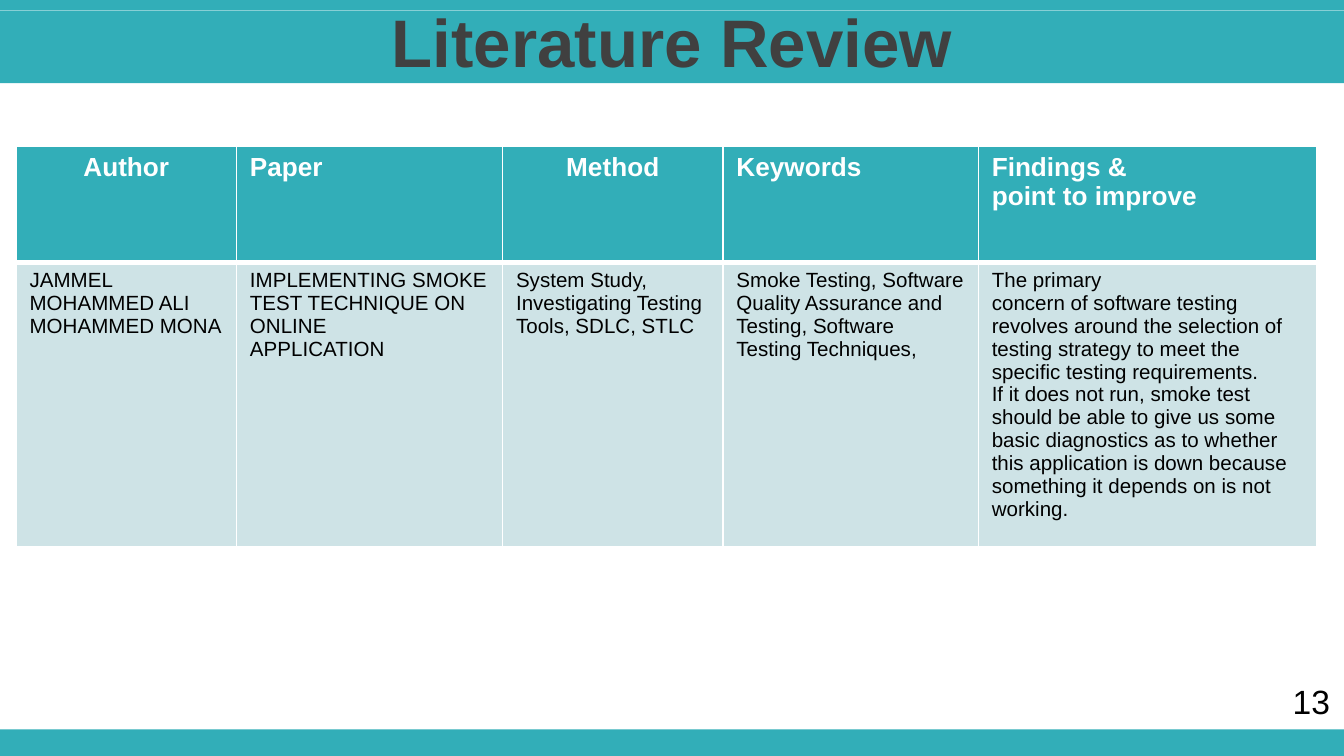
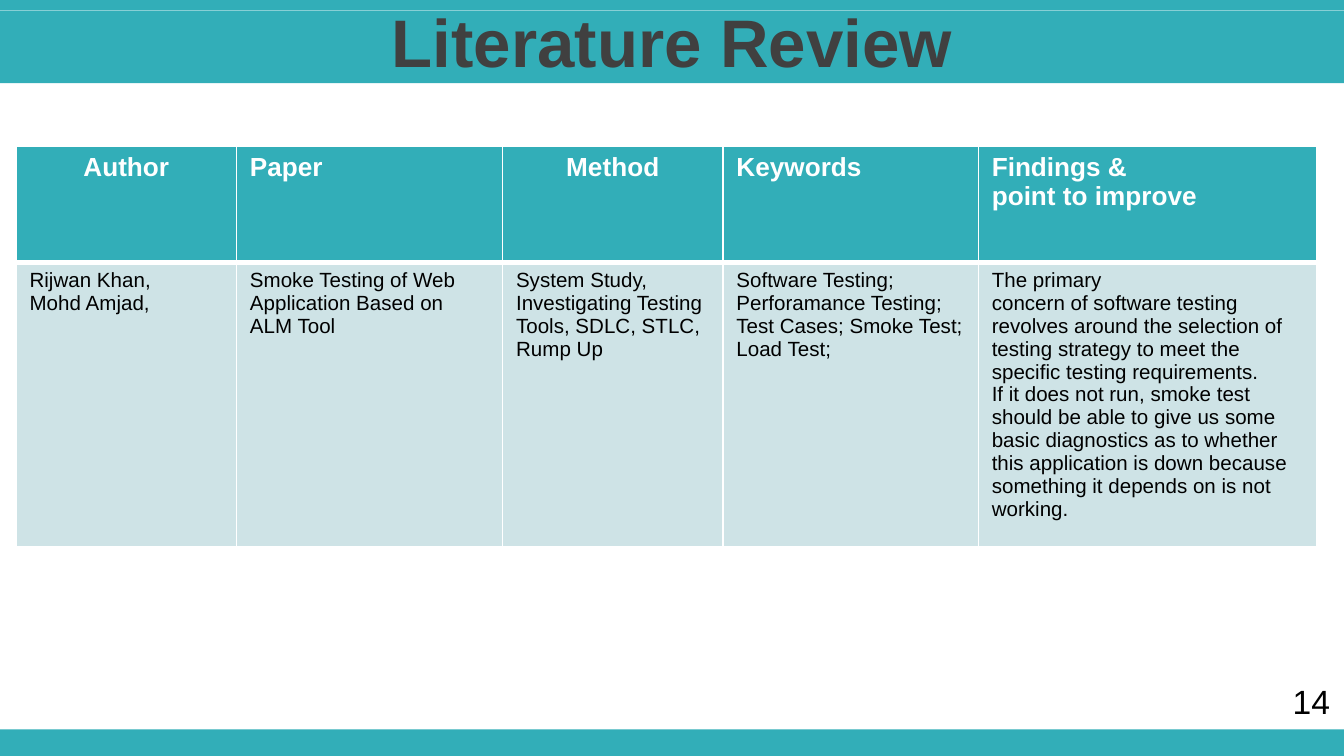
from dataclasses import dataclass
from typing import NamedTuple

from lxml.etree import SubElement
from pptx import Presentation
from pptx.dml.color import RGBColor as Rgb
from pptx.enum.shapes import MSO_SHAPE as Shape
from pptx.enum.text import MSO_ANCHOR as Anchor, MSO_AUTO_SIZE as AutoSize, PP_ALIGN as Align
from pptx.oxml.ns import qn
from pptx.util import Inches, Pt


@dataclass(frozen=True)
class Theme:
    """Colours, font and type sizes of the deck."""
    teal: str = "32AEB8"
    pale: str = "CEE3E6"
    white: str = "FFFFFF"
    dark: str = "404040"
    black: str = "000000"
    font: str = "Arial"
    title: int = 36
    header: int = 14
    body: int = 11
    number: int = 18


class Area(NamedTuple):
    """A rectangle given as shares of the slide's size."""
    left: float
    top: float
    width: float
    height: float


class Column(NamedTuple):
    """A table column: heading, share of the slide width and heading alignment."""
    heading: str
    width: float
    align: Align = Align.LEFT


class Review(NamedTuple):
    """One reviewed paper and the number of its slide."""
    number: int
    author: str
    paper: str
    method: str
    keywords: str


THEME = Theme()
WIDTH, HEIGHT = Inches(10), Inches(5.625)
FOOTER_BAND = Area(0, 0.965, 1, 0.035)
TOP_BAND = Area(0, 0, 1, 0.014)
TITLE_BAND = Area(0, 0.014, 1, 0.096)
TITLE_AREA = Area(0, -0.002, 1, 0.112)
NUMBER_AREA = Area(0.952, 0.892, 0.048, 0.072)
TABLE_LEFT, TABLE_TOP = 0.012, 0.193
HEADER_HEIGHT, BODY_HEIGHT = 0.154, 0.308
HEADER_EDGES = {"lnL": 1, "lnR": 1, "lnT": 1, "lnB": 3}
BODY_EDGES = {"lnL": 1, "lnR": 1, "lnB": 1}

COLUMNS = (
    Column("Author", 0.164, Align.CENTER),
    Column("Paper", 0.198),
    Column("Method", 0.164, Align.CENTER),
    Column("Keywords", 0.19),
    Column("Findings &\npoint to improve", 0.252),
)

FINDINGS = (
    "The primary\n"
    "concern of software testing revolves around the selection of testing strategy to meet the\n"
    "specific testing requirements.\n"
    "If it does not run, smoke test should be able to give us some basic diagnostics "
    "as to whether this application is down because\n"
    "something it depends on is not\n"
    "working."
)

REVIEWS = (
    Review(
        13,
        "JAMMEL MOHAMMED ALI\nMOHAMMED MONA",
        "IMPLEMENTING SMOKE TEST TECHNIQUE ON ONLINE\nAPPLICATION",
        "System Study, Investigating Testing Tools, SDLC, STLC",
        "Smoke Testing, Software Quality Assurance and Testing, Software Testing Techniques,",
    ),
    Review(
        14,
        "Rijwan Khan,\nMohd Amjad,",
        "Smoke Testing of Web\nApplication Based on\nALM Tool",
        "System Study, Investigating Testing Tools, SDLC, STLC, Rump Up",
        "Software Testing; Perforamance Testing; Test Cases; Smoke Test; Load Test;",
    ),
)


def place(area: Area) -> tuple:
    """Turn shares of the slide into lengths."""
    return (int(area.left * WIDTH), int(area.top * HEIGHT),
            int(area.width * WIDTH), int(area.height * HEIGHT))


def write(frame, text: str, *, size: int, color: str = THEME.black, bold: bool = False,
          align: Align = Align.LEFT, before: float = 0) -> None:
    """Fill a text frame with one paragraph per line of text."""
    frame.text = text
    for paragraph in frame.paragraphs:
        paragraph.alignment = align
        paragraph.space_before = Pt(before)
        font = paragraph.runs[0].font
        font.name, font.size, font.bold = THEME.font, Pt(size), bold
        font.color.rgb = Rgb.from_string(color)


def add_band(slide, area: Area) -> None:
    """Draw a plain teal band."""
    band = slide.shapes.add_shape(Shape.RECTANGLE, *place(area))
    band.shadow.inherit = False
    band.fill.solid()
    band.fill.fore_color.rgb = Rgb.from_string(THEME.teal)
    band.line.fill.background()


def add_title(slide, text: str) -> None:
    """Write the slide title over its band."""
    frame = slide.shapes.add_textbox(*place(TITLE_AREA)).text_frame
    frame.word_wrap = True
    frame.vertical_anchor = Anchor.MIDDLE
    write(frame, text, size=THEME.title, color=THEME.dark, bold=True,
          align=Align.CENTER, before=3)


def add_number(slide, number: int) -> None:
    """Write the slide number above the footer band."""
    frame = slide.shapes.add_textbox(*place(NUMBER_AREA)).text_frame
    frame.word_wrap = False
    frame.auto_size = AutoSize.SHAPE_TO_FIT_TEXT
    write(frame, str(number), size=THEME.number)


def paint_cell(cell, fill: str, edges: dict[str, int]) -> None:
    """Give a cell white edges and a solid fill."""
    properties = cell._tc.get_or_add_tcPr()
    for edge, points in edges.items():
        line = SubElement(properties, qn(f"a:{edge}"), w=str(Pt(points)))
        SubElement(SubElement(line, qn("a:solidFill")), qn("a:srgbClr"), val=THEME.white)
    cell.fill.solid()
    cell.fill.fore_color.rgb = Rgb.from_string(fill)


def add_review_table(slide, review: Review) -> None:
    """Draw the table of one reviewed paper."""
    area = Area(TABLE_LEFT, TABLE_TOP, sum(column.width for column in COLUMNS),
                HEADER_HEIGHT + BODY_HEIGHT)
    table = slide.shapes.add_table(2, len(COLUMNS), *place(area)).table
    table.horz_banding = False
    for row, share in zip(table.rows, (HEADER_HEIGHT, BODY_HEIGHT)):
        row.height = int(share * HEIGHT)
    details = (review.author, review.paper, review.method, review.keywords, FINDINGS)
    for index, (column, detail) in enumerate(zip(COLUMNS, details)):
        table.columns[index].width = int(column.width * WIDTH)
        heading, entry = table.cell(0, index), table.cell(1, index)
        paint_cell(heading, THEME.teal, HEADER_EDGES)
        write(heading.text_frame, column.heading, size=THEME.header, color=THEME.white,
              bold=True, align=column.align)
        paint_cell(entry, THEME.pale, BODY_EDGES)
        write(entry.text_frame, detail, size=THEME.body)


def add_review_slide(deck, review: Review) -> None:
    """Build one literature review slide."""
    slide = deck.slides.add_slide(deck.slide_layouts[6])
    for band in (FOOTER_BAND, TOP_BAND, TITLE_BAND):
        add_band(slide, band)
    add_title(slide, "Literature Review")
    add_review_table(slide, review)
    add_number(slide, review.number)


def main() -> None:
    """Build and save the deck."""
    deck = Presentation()
    deck.slide_width, deck.slide_height = WIDTH, HEIGHT
    for review in REVIEWS:
        add_review_slide(deck, review)
    deck.save("out.pptx")


if __name__ == "__main__":
    main()
